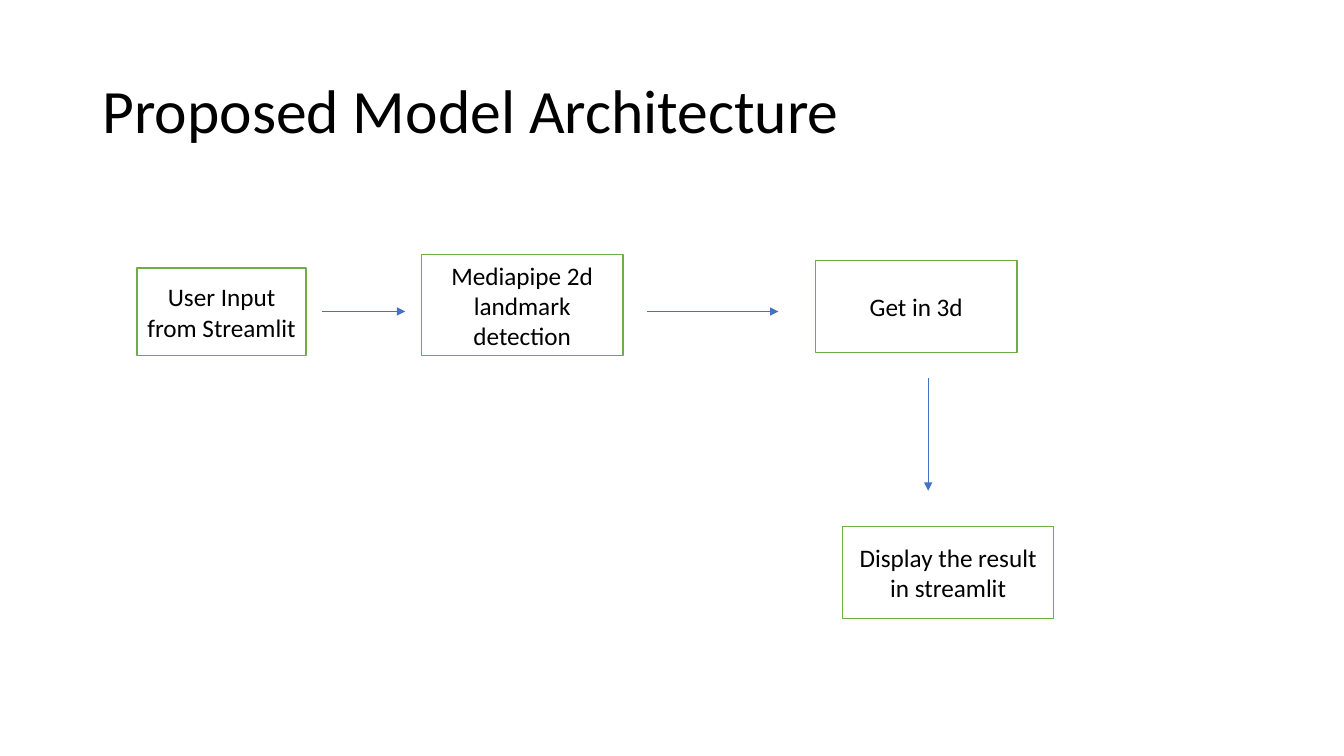
from lxml.etree import SubElement
from pptx import Presentation
from pptx.dml.color import RGBColor
from pptx.enum.shapes import MSO_CONNECTOR, MSO_SHAPE
from pptx.enum.text import MSO_ANCHOR, MSO_AUTO_SIZE, PP_ALIGN
from pptx.oxml.ns import qn
from pptx.util import Pt


def color(hex_string):
    return RGBColor.from_string(hex_string)


class FlowSlide:
    FONT = "Calibri"
    TEXT = "000000"
    BOX_FILL = "FFFFFF"
    BOX_LINE = "70AD47"
    ARROW = "4472C4"

    def __init__(self, presentation):
        self.slide = presentation.slides.add_slide(presentation.slide_layouts[5])

    def add_text(self, shape, text, size, alignment):
        frame = shape.text_frame
        frame.word_wrap = True
        frame.auto_size = MSO_AUTO_SIZE.NONE
        frame.vertical_anchor = MSO_ANCHOR.MIDDLE
        paragraph = frame.paragraphs[0]
        paragraph.alignment = alignment
        run = paragraph.add_run()
        run.text = text
        run.font.name = self.FONT
        run.font.size = Pt(size)
        run.font.color.rgb = color(self.TEXT)
        return paragraph

    def title(self, text, left, top, width, height):
        shape = self.slide.shapes.title
        shape.left, shape.top = Pt(left), Pt(top)
        shape.width, shape.height = Pt(width), Pt(height)
        paragraph = self.add_text(shape, text, 44, PP_ALIGN.LEFT)
        paragraph.line_spacing = 0.9

    def box(self, text, left, top, width, height):
        shape = self.slide.shapes.add_shape(
            MSO_SHAPE.RECTANGLE, Pt(left), Pt(top), Pt(width), Pt(height))
        shape.shadow.inherit = False
        shape.fill.solid()
        shape.fill.fore_color.rgb = color(self.BOX_FILL)
        shape.line.color.rgb = color(self.BOX_LINE)
        shape.line.width = Pt(1)
        self.add_text(shape, text, 18, PP_ALIGN.CENTER)

    def arrow(self, start_x, start_y, end_x, end_y):
        connector = self.slide.shapes.add_connector(
            MSO_CONNECTOR.STRAIGHT, Pt(start_x), Pt(start_y), Pt(end_x), Pt(end_y))
        connector.line.color.rgb = color(self.ARROW)
        connector.line.width = Pt(0.5)
        # Arrowhead at the end, and no theme shadow
        properties = connector._element.spPr
        SubElement(properties.find(qn("a:ln")), qn("a:tailEnd"), type="triangle")
        SubElement(properties, qn("a:effectLst"))


def main():
    presentation = Presentation()
    presentation.slide_width, presentation.slide_height = Pt(960), Pt(540)
    flow = FlowSlide(presentation)

    # Title
    flow.title("Proposed Model Architecture", 66, 28.8, 828, 104.4)

    # Processing steps
    flow.box("User Input from Streamlit", 98, 191.5, 120.5, 62.5)
    flow.box("Mediapipe 2d landmark detection", 301, 182, 144, 72)
    flow.box("Get in 3d", 582.5, 186, 144, 66)
    flow.box("Display the result in streamlit", 602, 376, 150.5, 66)

    # Arrows between the steps, standing clear of the boxes
    row_y, column_x = 222.5, 663
    flow.arrow(230, row_y, 289.5, row_y)
    flow.arrow(462, row_y, 556, row_y)
    flow.arrow(column_x, 270, column_x, 350.5)

    presentation.save("out.pptx")


if __name__ == "__main__":
    main()
